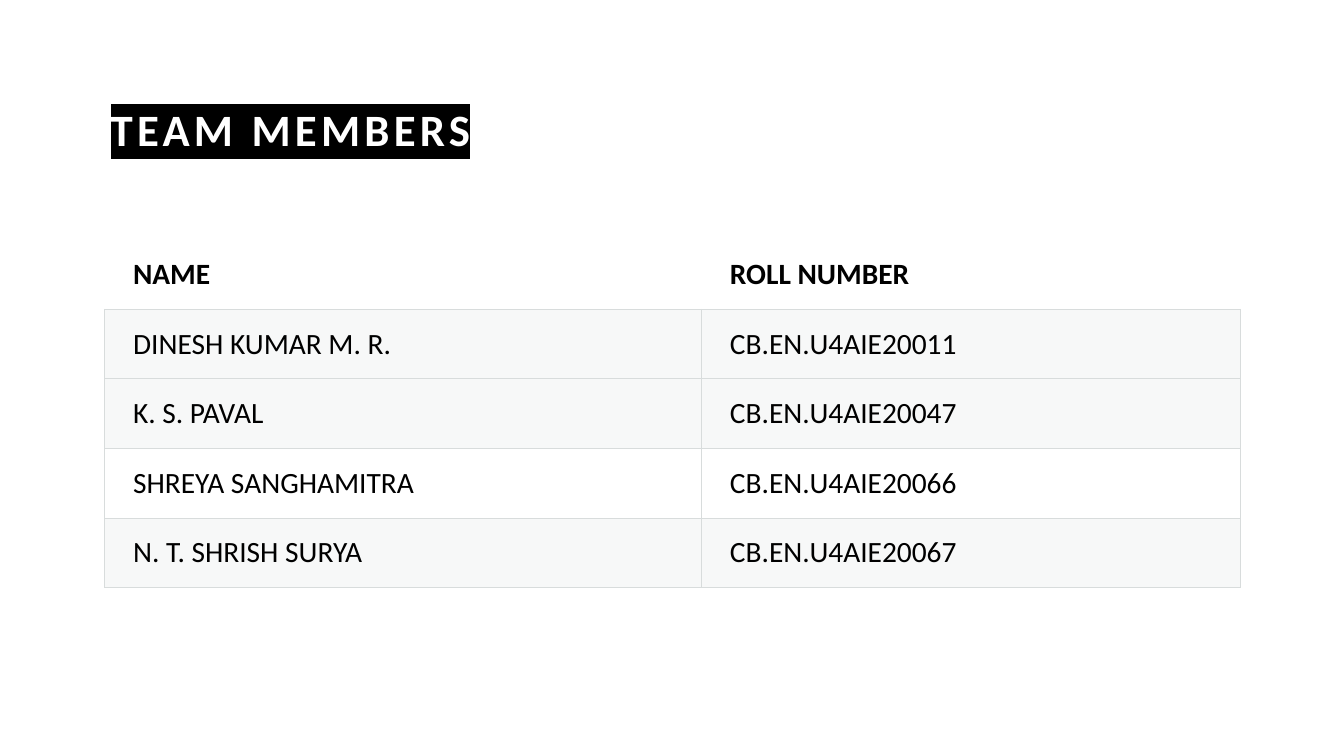
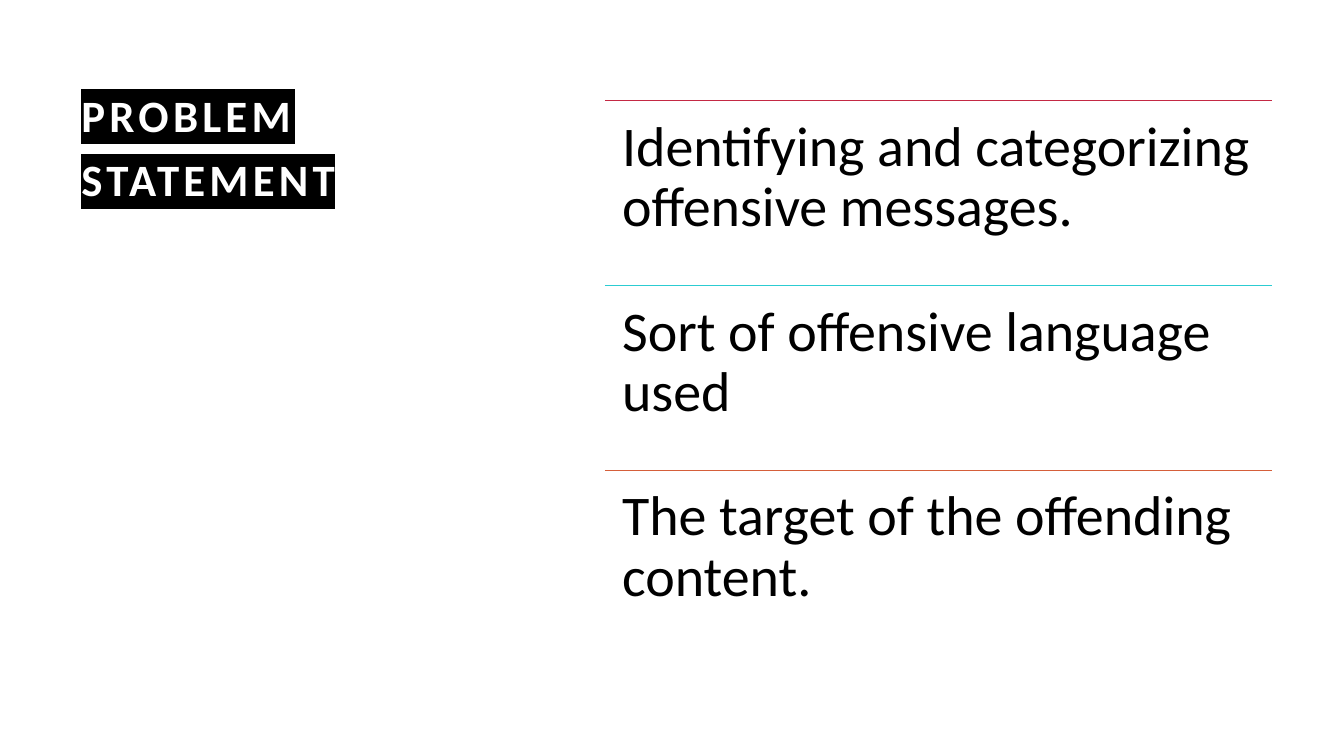
import dataclasses

import lxml.etree
import pptx
import pptx.dml.color
import pptx.enum.shapes
import pptx.enum.text
import pptx.oxml.ns
import pptx.util

MEMBERS = [
    ("NAME", "ROLL NUMBER"),
    ("DINESH KUMAR M. R.", "CB.EN.U4AIE20011"),
    ("K. S. PAVAL", "CB.EN.U4AIE20047"),
    ("SHREYA SANGHAMITRA", "CB.EN.U4AIE20066"),
    ("N. T. SHRISH SURYA", "CB.EN.U4AIE20067"),
]
TINTED_ROWS = {1, 2, 4}
COLUMN_WIDTHS = (592, 534)
ROW_HEIGHT = 69

PROBLEMS = [
    ("Identifying and categorizing offensive messages.", "C42944"),
    ("Sort of offensive language used", "2CCCD2"),
    ("The target of the offending content.", "D55F3A"),
]
PROBLEM_AREA = (600, 100, 662, 550)


@dataclasses.dataclass(frozen=True)
class Theme:
    font: str = "Calibri"
    ink: str = "000000"
    paper: str = "FFFFFF"
    border: str = "D8DCDC"
    tint: str = "D8DEDC"
    tint_percent: int = 20
    title_size: int = 32
    title_spacing: int = 3
    table_size: int = 21
    problem_size: int = 40
    border_width: float = 0.75
    rule_width: int = 1


THEME = Theme()
MIDDLE = pptx.enum.text.MSO_ANCHOR.MIDDLE
TOP = pptx.enum.text.MSO_ANCHOR.TOP


def px(length):
    return pptx.util.Emu(round(length * 9144))


def rgb(value):
    return pptx.dml.color.RGBColor.from_string(value)


def add_child(parent, tag, **attributes):
    child = lxml.etree.SubElement(parent, pptx.oxml.ns.qn(tag))
    for key, value in attributes.items():
        child.set(key, str(value))
    return child


def write(frame, text, size, color=THEME.ink, bold=False):
    frame.text = text
    run = frame.paragraphs[0].runs[0]
    run.font.name = THEME.font
    run.font.size = pptx.util.Pt(size)
    run.font.bold = bold
    run.font.color.rgb = rgb(color)
    return run


def set_margins(holder, left, top, right, bottom):
    holder.margin_left, holder.margin_top = px(left), px(top)
    holder.margin_right, holder.margin_bottom = px(right), px(bottom)


def add_text_frame(slide, box, anchor=TOP):
    frame = slide.shapes.add_textbox(*map(px, box)).text_frame
    frame.word_wrap = True
    frame.vertical_anchor = anchor
    return frame


def add_title(slide, text, box, anchor=TOP):
    frame = add_text_frame(slide, box, anchor)
    run = write(frame, text, THEME.title_size, THEME.paper, bold=True)
    frame.paragraphs[0].line_spacing = 1.2
    frame.paragraphs[0].space_after = pptx.util.Pt(6)
    properties = run.font._element
    properties.set("spc", str(THEME.title_spacing * 100))
    highlight = add_child(properties, "a:highlight")
    add_child(highlight, "a:srgbClr", val=THEME.ink)
    properties.find(pptx.oxml.ns.qn("a:latin")).addprevious(highlight)


def set_borders(cell, visible_sides):
    properties = cell._tc.get_or_add_tcPr()
    for side in "LRTB":
        border = add_child(properties, f"a:ln{side}", w=pptx.util.Pt(THEME.border_width))
        if side in visible_sides:
            fill = add_child(border, "a:solidFill")
            add_child(fill, "a:srgbClr", val=THEME.border)
        else:
            add_child(border, "a:noFill")


def set_tint(cell):
    cell.fill.solid()
    cell.fill.fore_color.rgb = rgb(THEME.tint)
    color = cell._tc.tcPr.find(".//" + pptx.oxml.ns.qn("a:solidFill") + "[last()]/..")
    color = cell._tc.tcPr.find(pptx.oxml.ns.qn("a:solidFill"))[0]
    add_child(color, "a:alpha", val=THEME.tint_percent * 1000)


def add_members(slide):
    box = (104, 238, sum(COLUMN_WIDTHS), ROW_HEIGHT * len(MEMBERS))
    table = slide.shapes.add_table(
        len(MEMBERS), len(COLUMN_WIDTHS), *map(px, box)
    ).table
    table.first_row = table.horz_banding = False
    for column, width in zip(table.columns, COLUMN_WIDTHS):
        column.width = px(width)
    for row, member in enumerate(MEMBERS):
        header = row == 0
        table.rows[row].height = px(ROW_HEIGHT)
        for column, text in enumerate(member):
            cell = table.cell(row, column)
            write(cell.text_frame, text, THEME.table_size, bold=header)
            cell.vertical_anchor = MIDDLE
            set_margins(cell, 28, 14, 0, 14)
            set_borders(cell, "B" if header else "LRTB")
            if row in TINTED_ROWS:
                set_tint(cell)
            else:
                cell.fill.background()


def add_rule(slide, left, top, width, color):
    rule = slide.shapes.add_connector(
        pptx.enum.shapes.MSO_CONNECTOR.STRAIGHT,
        px(left), px(top), px(left + width), px(top),
    )
    rule.line.color.rgb = rgb(color)
    rule.line.width = pptx.util.Pt(THEME.rule_width)
    add_child(rule._element.spPr, "a:effectLst")


def add_problems(slide):
    left, top, width, height = PROBLEM_AREA
    step = height / len(PROBLEMS)
    for index, (text, color) in enumerate(PROBLEMS):
        y = top + index * step
        add_rule(slide, left, y, width, color)
        frame = add_text_frame(slide, (left, y, width, step))
        set_margins(frame, 17, 17, 17, 17)
        write(frame, text, THEME.problem_size)
        frame.paragraphs[0].line_spacing = 0.9


def main():
    deck = pptx.Presentation()
    deck.slide_width, deck.slide_height = px(1333), px(750)
    blank = deck.slide_layouts[6]

    team = deck.slides.add_slide(blank)
    add_title(team, "TEAM MEMBERS", (100, 71, 1043, 103), MIDDLE)
    add_members(team)

    problem = deck.slides.add_slide(blank)
    add_title(problem, "PROBLEM STATEMENT", (71, 71, 374, 304))
    add_problems(problem)

    deck.save("out.pptx")


if __name__ == "__main__":
    main()
